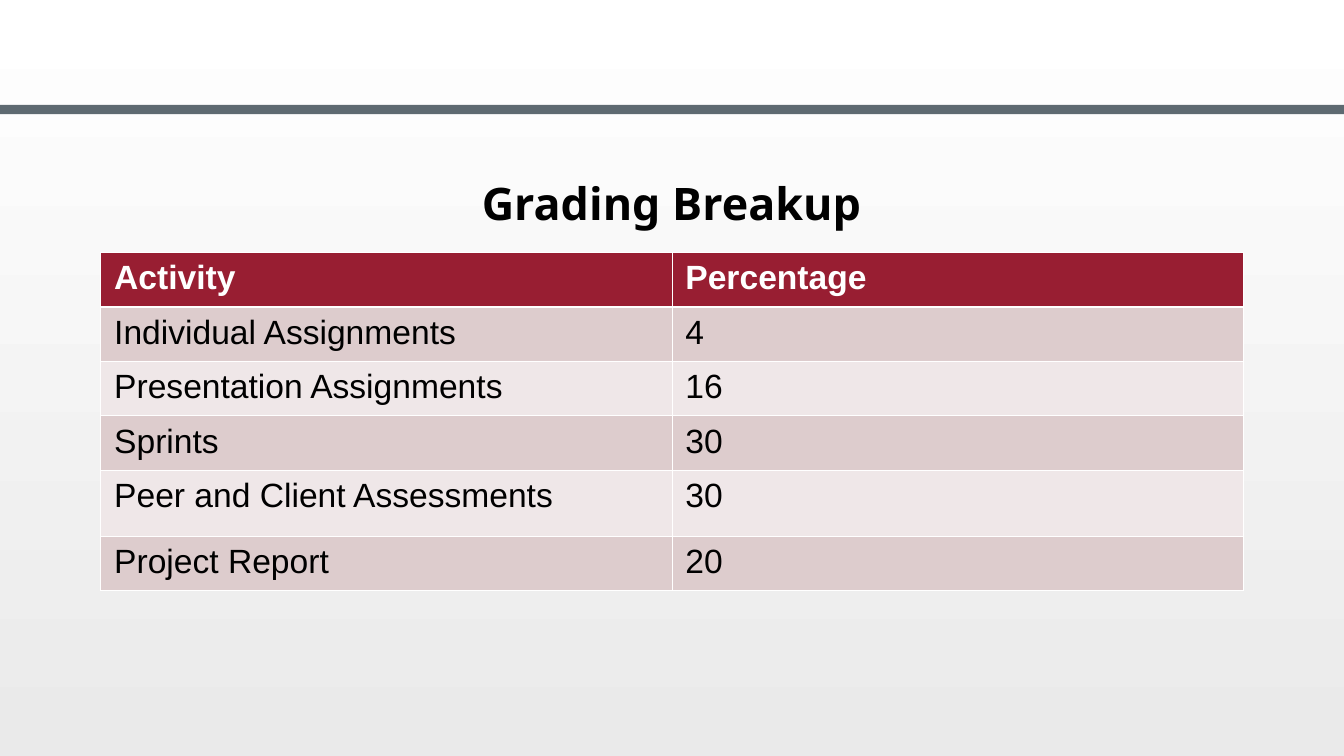
from lxml.etree import SubElement
from pptx import Presentation
from pptx.dml.color import RGBColor
from pptx.enum.shapes import MSO_SHAPE
from pptx.enum.text import MSO_ANCHOR, MSO_AUTO_SIZE, PP_ALIGN
from pptx.oxml.ns import qn
from pptx.util import Inches, Pt

# Content
HEADING = "Grading Breakup"
GRADES = [
    ("Activity", "Percentage"),
    ("Individual Assignments", "4"),
    ("Presentation Assignments", "16"),
    ("Sprints", "30"),
    ("Peer and Client Assessments", "30"),
    ("Project Report", "20"),
]
COLORS = {
    "bottom": "EAEAEA", "top": "FFFFFF", "rule": "5E6A71",
    "header": "981E32", "odd": "DDCCCD", "even": "EFE7E8",
    "border": "FFFFFF", "light": "FFFFFF", "dark": "000000",
}

# Layout: a 16 by 9 slide
WIDTH = Inches(10)
HEIGHT = WIDTH * 9 // 16
TABLE_LEFT, TABLE_TOP = Inches(0.75), Inches(1.88)
TABLE_WIDTH = WIDTH - 2 * TABLE_LEFT
ROW_HEIGHT, TALL_ROW_HEIGHT, TALL_ROW = Inches(0.405), Inches(0.49), 4
THIN, THICK = 0.45, 1.47


def color(key):
    return RGBColor.from_string(COLORS[key])


def write(frame, text, font="Arial", size=18, ink="dark", bold=False,
          align=PP_ALIGN.LEFT, line=None):
    paragraph = frame.paragraphs[0]
    paragraph.alignment = align
    if line:
        paragraph.line_spacing = Pt(line)
    run = paragraph.add_run()
    run.text = text
    run.font.name, run.font.size, run.font.bold = font, Pt(size), bold
    run.font.color.rgb = color(ink)


def add_borders(cell, **widths):
    properties = cell._tc.get_or_add_tcPr()
    for side in "LRTB":
        border = SubElement(properties, qn(f"a:ln{side}"),
                            w=str(Pt(widths.get(side, THIN))))
        SubElement(SubElement(border, qn("a:solidFill")),
                   qn("a:srgbClr"), val=COLORS["border"])


def main():
    deck = Presentation()
    deck.slide_width, deck.slide_height = WIDTH, HEIGHT
    slide = deck.slides.add_slide(deck.slide_layouts[5])

    # Background, shaded from bottom to top
    background = slide.background.fill
    background.gradient()
    background.gradient_angle = 90
    for stop, key in zip(background.gradient_stops, ("bottom", "top")):
        stop.color.rgb = color(key)

    # Rule across the top
    rule = slide.shapes.add_shape(MSO_SHAPE.RECTANGLE, 0, Inches(0.78),
                                  WIDTH, Inches(0.07))
    rule.shadow.inherit = False
    rule.fill.solid()
    rule.fill.fore_color.rgb = color("rule")
    rule.line.fill.background()

    # Title
    title = slide.shapes.title
    title.left, title.top = Inches(0.39), Inches(1.32)
    title.width, title.height = Inches(9.21), Inches(0.44)
    frame = title.text_frame
    frame.word_wrap = True
    frame.auto_size = MSO_AUTO_SIZE.NONE
    frame.vertical_anchor = MSO_ANCHOR.BOTTOM
    frame.margin_left = frame.margin_right = Inches(0.5)
    frame.margin_top = frame.margin_bottom = Inches(0.05)
    write(frame, HEADING, font="Noto Sans", size=24, bold=True,
          align=PP_ALIGN.CENTER, line=24)

    # Grading table
    grades = slide.shapes.add_table(
        len(GRADES), len(GRADES[0]), TABLE_LEFT, TABLE_TOP, TABLE_WIDTH,
        ROW_HEIGHT * (len(GRADES) - 1) + TALL_ROW_HEIGHT).table
    for r, texts in enumerate(GRADES):
        grades.rows[r].height = TALL_ROW_HEIGHT if r == TALL_ROW else ROW_HEIGHT
        band = "header" if r == 0 else "odd" if r % 2 else "even"
        for c, text in enumerate(texts):
            cell = grades.cell(r, c)
            add_borders(cell, T=THICK if r == 1 else THIN,
                        B=THICK if r == 0 else THIN)
            cell.fill.solid()
            cell.fill.fore_color.rgb = color(band)
            write(cell.text_frame, text, bold=r == 0,
                  ink="dark" if r else "light")

    deck.save("out.pptx")


if __name__ == "__main__":
    main()
